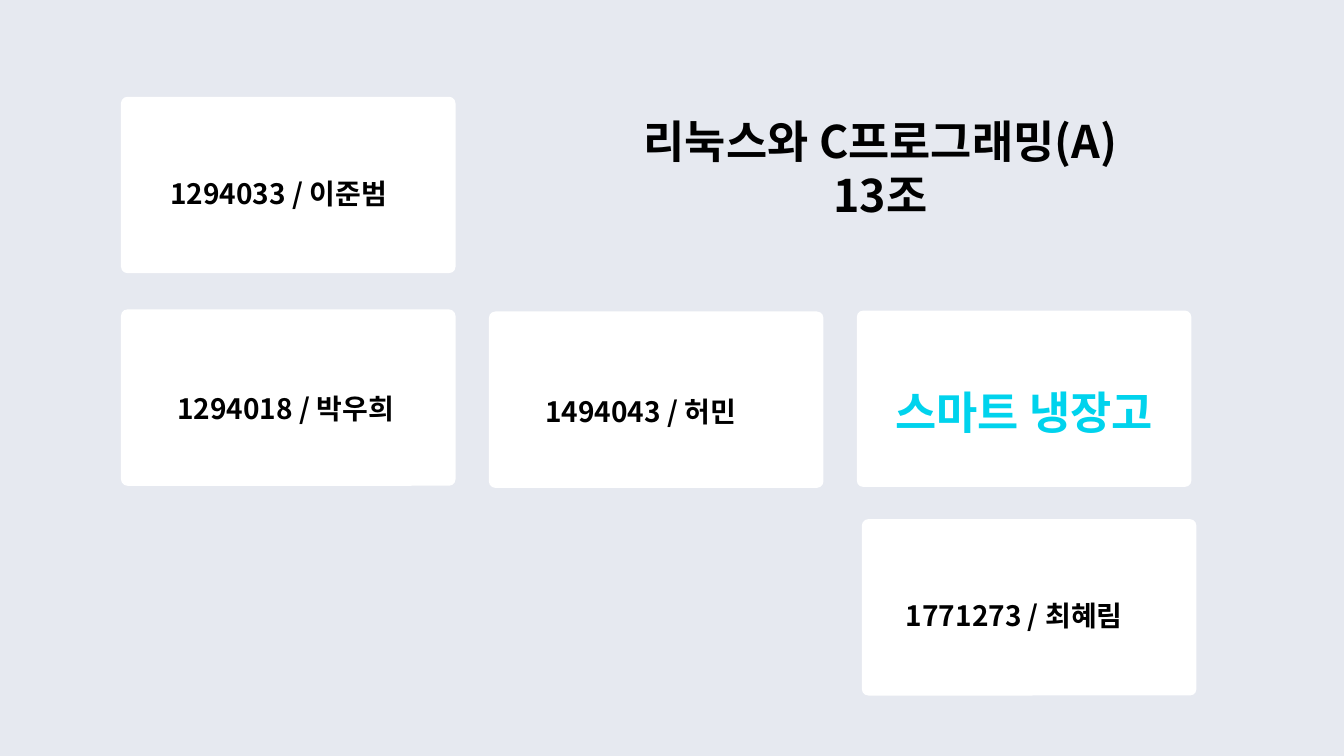
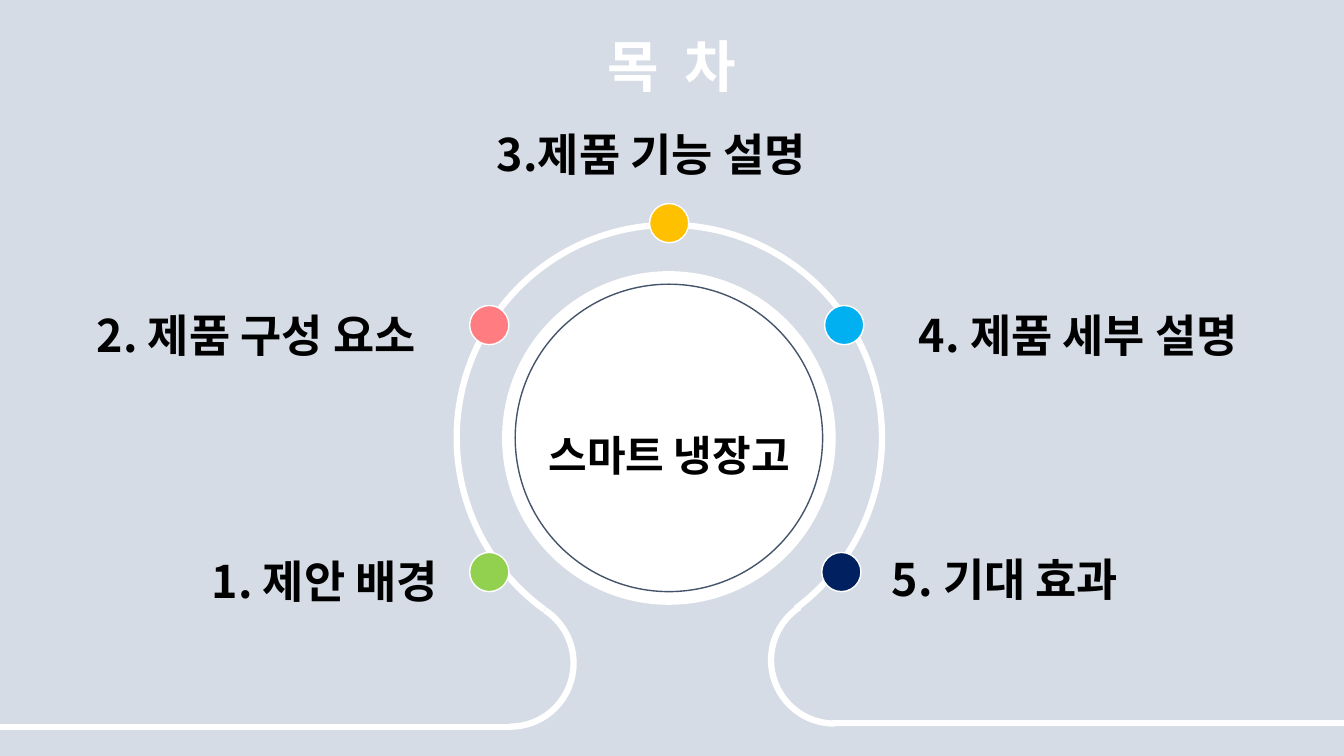
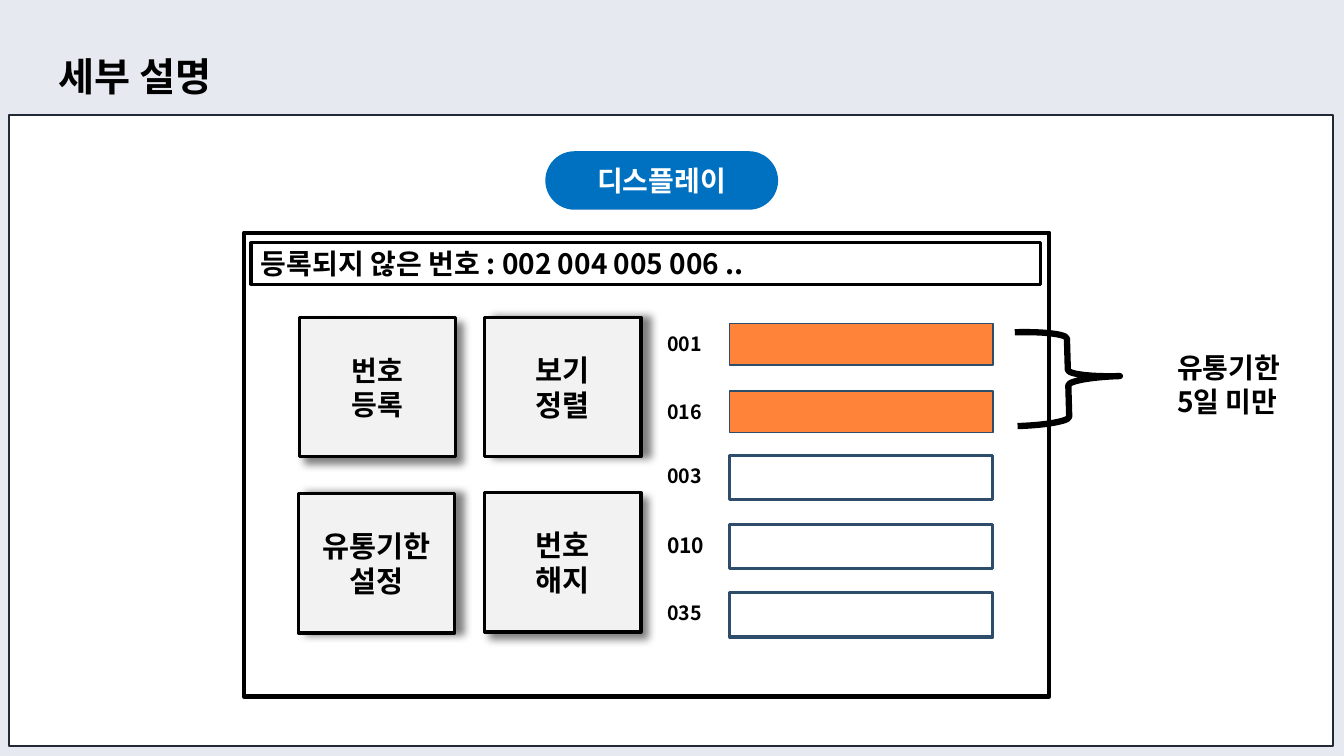
from lxml import etree
from pptx import Presentation
from pptx.dml.color import RGBColor
from pptx.enum import shapes, text
from pptx.oxml.ns import qn
from pptx.util import Pt

FONT = "Noto Sans CJK KR"
BLACK, WHITE = "000000", "FFFFFF"
PALE, MIST, BAR_EDGE = "E6E9F0", "D6DCE5", "2D4D6A"
LEFT, CENTER, RIGHT = text.PP_ALIGN.LEFT, text.PP_ALIGN.CENTER, text.PP_ALIGN.RIGHT
KIND = shapes.MSO_SHAPE

# Slide 1: card corner, then text, text box and style
CARD_SIZE = (239, 126)
CARDS = [
    ((86.4, 69.1), "1294033 / 이준범", (114.5, 110.2, 183, 42.5), {}),
    ((86.4, 221), "1294018 / 박우희", (119.5, 264.2, 181.5, 43), {}),
    ((349.2, 222.5), "1494043 / 허민", (382.3, 266.4, 173, 42.5), {}),
    ((612, 221.8), "스마트 냉장고", (612, 252, 239, 65.5),
     dict(size=32, color="00D3ED", align=CENTER)),
    ((615.6, 370.8), "1771273 / 최혜림", (640, 411.8, 184, 42.5), {}),
]

# Slide 2: text, text box, alignment, line spacing, dot corner and colour
DOT = 28
TOPICS = [
    ("1. 제안 배경", (38, 373, 282, 57.6), RIGHT, 1.5, (335.5, 394.6), "92D050"),
    ("2. 제품 구성 요소", (62, 197.3, 285, 57.6), LEFT, 1.5, (335.5, 218.2), "FF7C80"),
    ("3.제품 기능 설명", (347.8, 87.1, 265, 46), LEFT, 1, (464, 145.4), "FFC000"),
    ("4. 제품 세부 설명", (581.8, 197.3, 309.6, 65.5), RIGHT, 1.5, (589, 218.2), "00B0F0"),
    ("5. 기대 효과", (630, 371.5, 246, 57.6), LEFT, 1.5, (587, 394.6), "002060"),
]
# Corner, diameter, start and end angle in degrees
ARCS = [
    (326.2, 160.6, 303.8, 125.9, 53.5),
    (319, 428.4, 90.7, 303.3, 90.6),
    (550.8, 426.2, 90.7, 89.4, 236.7),
]
TAILS = [(0, 365.8, 519.1), (960, 594, 516.2)]

# Slide 3: lines, corner, font size, shadow direction
BUTTONS = [
    (["번호", "등록"], (213.8, 226.8), 20, 45),
    (["보기", "정렬"], (346.3, 226.8), 21, 0),
    (["유통기한", "설정"], (213.1, 352.8), 21, 0),
    (["번호", "해지"], (346.3, 352.1), 21, 45),
]
# Number, top, soon to expire, font size
BARS = [("001", 231.1, True, 14), ("016", 279.4, True, 14), ("003", 325.4, False, 14),
        ("010", 374.4, False, 15), ("035", 423.4, False, 14)]


def rgb(value):
    return RGBColor.from_string(value)


def write(frame, lines, size=20, color=BLACK, align=LEFT, leading=1, tracking=0):
    frame.word_wrap = True
    for i, line in enumerate(lines):
        paragraph = frame.paragraphs[0] if i == 0 else frame.add_paragraph()
        paragraph.text = line
        paragraph.alignment = align
        paragraph.line_spacing = leading
        font = paragraph.font
        font.name, font.size, font.bold = FONT, Pt(size), True
        font.color.rgb = rgb(color)
        defaults = paragraph._p.pPr.find(qn("a:defRPr"))
        etree.SubElement(defaults, qn("a:ea")).set("typeface", FONT)
        if tracking:
            defaults.set("spc", str(tracking * 100))


def label(slide, box, lines, **style):
    write(slide.shapes.add_textbox(*map(Pt, box)).text_frame, lines, **style)


def outline(line, color, width):
    if color:
        line.color.rgb = rgb(color)
        line.width = Pt(width)
    else:
        line.fill.background()


def draw(slide, kind, box, fill=None, line=None, width=1, adjust=()):
    shape = slide.shapes.add_shape(kind, *map(Pt, box))
    shape.shadow.inherit = False
    if fill:
        shape.fill.solid()
        shape.fill.fore_color.rgb = rgb(fill)
    else:
        shape.fill.background()
    outline(shape.line, line, width)
    for i, value in enumerate(adjust):
        shape.adjustments[i] = value
    return shape


def cast_shadow(shape, direction):
    effects = shape._element.spPr.find(qn("a:effectLst"))
    shadow = etree.SubElement(effects, qn("a:outerShdw"), blurRad=str(Pt(6)), dist=str(Pt(6)),
                              dir=str(direction * 60000), algn="tl", rotWithShape="0")
    color = etree.SubElement(shadow, qn("a:srgbClr"), val=BLACK)
    etree.SubElement(color, qn("a:alpha"), val="50000")


def new_slide(deck, background, title, box, **style):
    slide = deck.slides.add_slide(deck.slide_layouts[5])
    slide.background.fill.solid()
    slide.background.fill.fore_color.rgb = rgb(background)
    heading = slide.shapes.title
    heading.left, heading.top, heading.width, heading.height = map(Pt, box)
    frame = heading.text_frame
    frame.auto_size = text.MSO_AUTO_SIZE.NONE
    frame.vertical_anchor = text.MSO_ANCHOR.TOP
    write(frame, title, **style)
    return slide


def team_slide(deck):
    slide = new_slide(deck, PALE, ["리눅스와 C프로그래밍(A)", "13조"],
                      (427, 77.8, 404, 83.5), size=32, align=CENTER)
    for corner, member, box, style in CARDS:
        draw(slide, KIND.ROUNDED_RECTANGLE, corner + CARD_SIZE, WHITE, adjust=[0.037])
        label(slide, box, [member], leading=1.5, **style)


def contents_slide(deck):
    slide = new_slide(deck, MIST, ["목 차"], (18.7 + 342-14, 18.7, 266.4, 55.4),
                      size=40, color=WHITE, align=CENTER, tracking=4.5)
    draw(slide, KIND.OVAL, (358.6, 193.7, 238.3, 238.3), WHITE)
    draw(slide, KIND.OVAL, (368, 203, 219.6, 219.6), WHITE, "44546A")
    label(slide, (348.5, 285.1, 259.2, 54.7), ["스마트 냉장고"],
          size=30, align=CENTER, leading=1.5)
    for left, top, diameter, start, end in ARCS:
        draw(slide, KIND.ARC, (left, top, diameter, diameter), None, WHITE, 4.5,
             [start * 0.6, end * 0.6])  # adjustments count 0.6 per degree
    for start, end, y in TAILS:
        tail = slide.shapes.add_connector(shapes.MSO_CONNECTOR.STRAIGHT,
                                          Pt(start), Pt(y), Pt(end), Pt(y))
        outline(tail.line, WHITE, 4.5)
        etree.SubElement(tail._element.spPr, qn("a:effectLst"))
    for topic, box, align, leading, corner, color in TOPICS:
        draw(slide, KIND.OVAL, corner + (DOT, DOT), color, WHITE)
        label(slide, box, [topic], size=32, align=align, leading=leading)


def display_slide(deck):
    slide = new_slide(deck, PALE, ["세부 설명"], (34.6, 16.6, 344, 58.3),
                      size=28, leading=1.5)
    draw(slide, KIND.RECTANGLE, (6.5, 82.1, 946, 450.7), WHITE, "212934", 1.5)
    draw(slide, KIND.RECTANGLE, (174.2, 166.3, 575.3, 331.2), None, BLACK, 3)
    draw(slide, KIND.RECTANGLE, (179.3, 173.5, 563.8, 29.5), None, BLACK, 2.25)
    label(slide, (179.3, 172.8, 558, 30.2), ["등록되지 않은 번호 : 002 004 005 006 .."])
    for lines, corner, size, direction in BUTTONS:
        button = draw(slide, KIND.RECTANGLE, corner + (111.6, 99.4), "F2F2F2", BLACK, 2.25)
        cast_shadow(button, direction)
        write(button.text_frame, lines, size=size, align=CENTER)
    for number, top, expiring, size in BARS:
        height, fill, width = (29.5, "FF843A", 1) if expiring else (31.7, None, 2.25)
        draw(slide, KIND.RECTANGLE, (521.3, top, 188, height), fill, BAR_EDGE, width)
        label(slide, (469.4, top + 2.5, 41.8, 23), [number], size=size)
    brace = draw(slide, KIND.LEFT_BRACE, (725.8, 236.2, 74.2, 67), None, BLACK, 4.5,
                 [0.083, 0.5])
    brace.rotation = 178.3
    label(slide, (833.8, 247, 100, 55.4), ["유통기한", "5일 미만"])
    badge = draw(slide, KIND.ROUNDED_RECTANGLE, (389.5, 108, 166.3, 41.8), "0070C0",
                 adjust=[0.5])
    write(badge.text_frame, ["디스플레이"], color=WHITE, align=CENTER)


def main():
    deck = Presentation()
    deck.slide_width, deck.slide_height = Pt(960), Pt(540)
    team_slide(deck)
    contents_slide(deck)
    display_slide(deck)
    deck.save("out.pptx")


if __name__ == "__main__":
    main()
